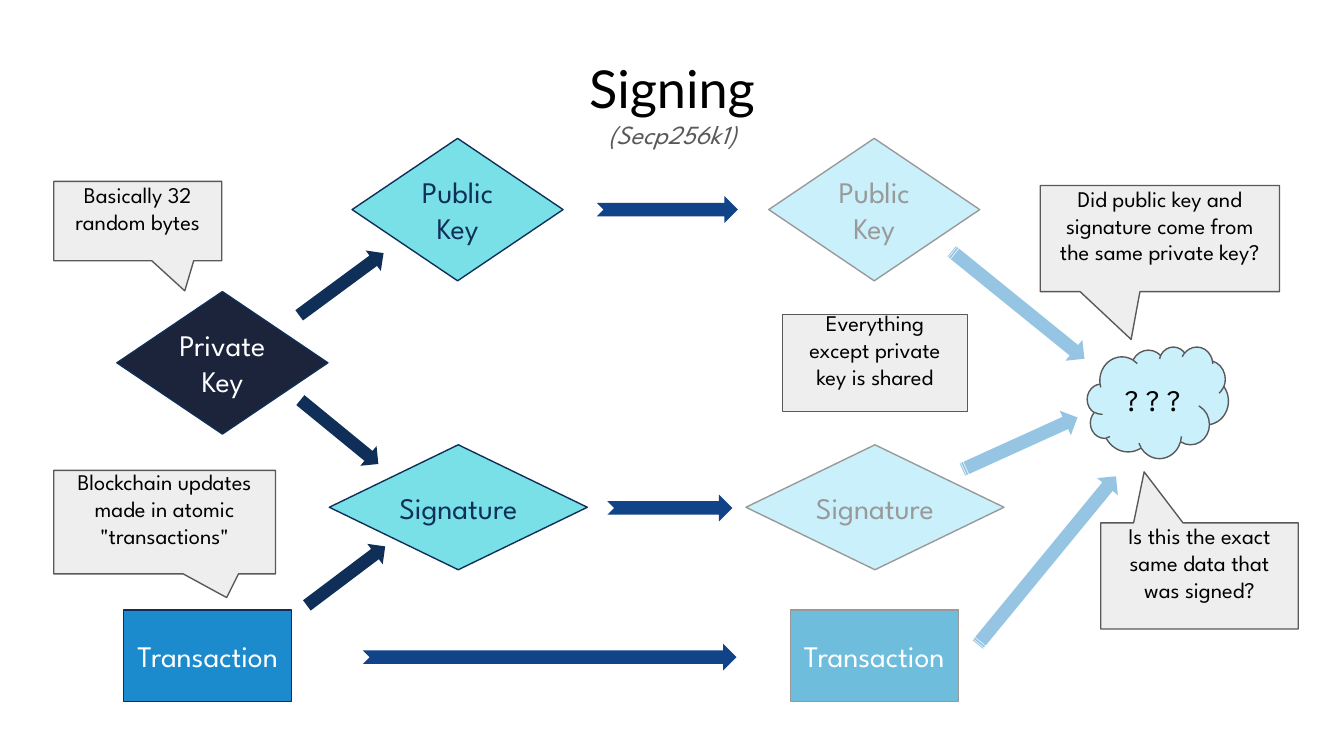
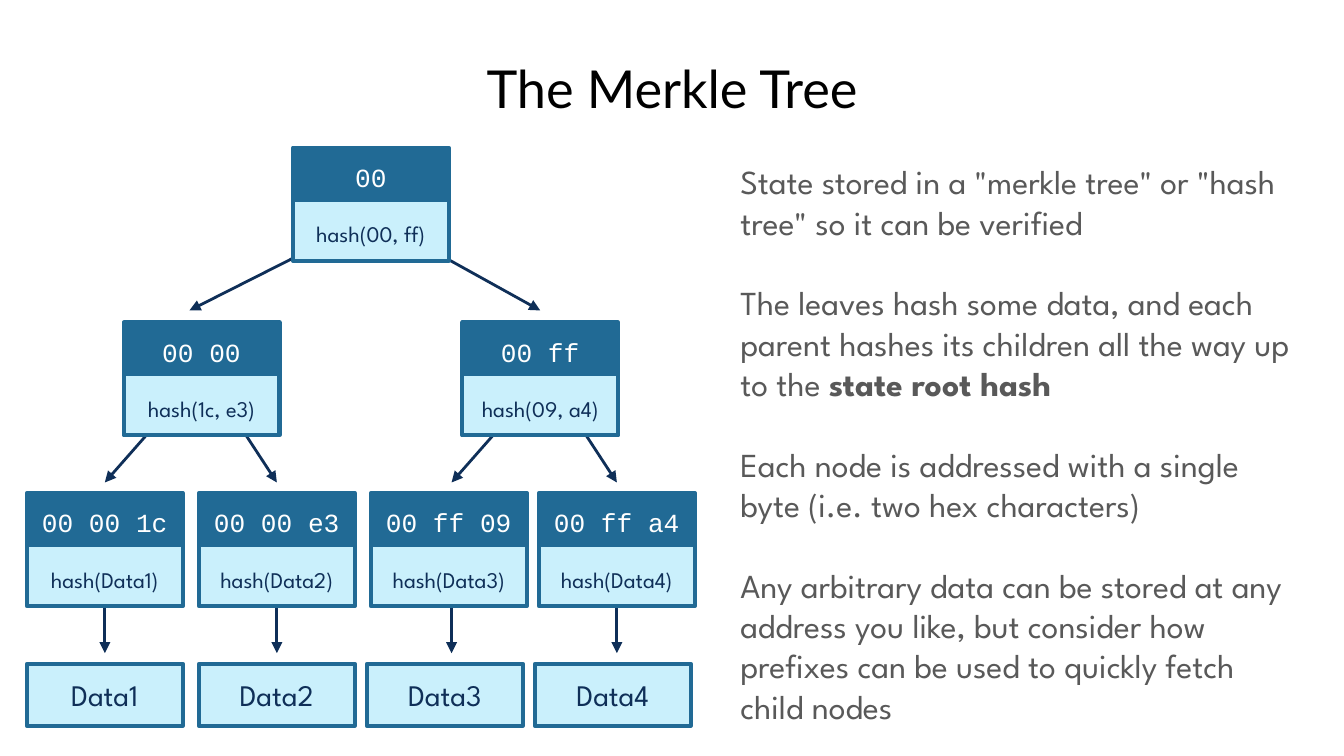
from dataclasses import dataclass

from lxml.etree import SubElement
from pptx import Presentation
from pptx.dml.color import RGBColor
from pptx.enum.shapes import MSO_CONNECTOR, MSO_SHAPE
from pptx.enum.text import MSO_ANCHOR, MSO_AUTO_SIZE, PP_ALIGN
from pptx.oxml.ns import qn
from pptx.shapes.autoshape import Shape
from pptx.slide import Slide
from pptx.text.text import TextFrame
from pptx.util import Inches, Pt

# Shared style
SLIDE_WIDTH = 10
SLIDE_HEIGHT = SLIDE_WIDTH * 9 / 16
TITLE_FONT, BODY_FONT, CODE_FONT = "Lato", "League Spartan", "Courier New"
BLACK, WHITE, GREY, FADED = "000000", "FFFFFF", "595959", "999999"
NAVY, MIDNIGHT, ROYAL, STEEL = "0F2F58", "1B243B", "104388", "216A95"
AQUA, ICE, SKY, PALE_SKY = "78E0E6", "CAF0FC", "1B8BCD", "6EBDDC"
BEAM, NOTE_FILL = "2D8DC9", "EEEEEE"
NO_INSETS = (0, 0, 0, 0)
INSETS = (0.1, 0.1, 0.1, 0.1)
NOTE_INSETS = (0.1, 0, 0.1, 0.2)

Box = tuple[float, float, float, float]
Point = tuple[float, float]


@dataclass
class Item:
    """An outlined element of the signing flow."""
    text: str
    box: Box
    outline: MSO_SHAPE
    fill: str
    border: str
    color: str


@dataclass
class BlockArrow:
    box: Box
    rotation: float = 0


@dataclass
class ArrowGroup:
    outline: MSO_SHAPE
    fill: str
    arrows: list[BlockArrow]
    opacity: int = 100


@dataclass
class Note:
    text: str
    box: Box
    pointer: Point | None = None


@dataclass
class HashNode:
    address: str
    formula: str
    left: float
    top: float


def rgb(color: str) -> RGBColor:
    return RGBColor.from_string(color)


def write(frame: TextFrame, text: str, *, size: float, color: str,
          font: str = BODY_FONT, italic: bool = False,
          align: PP_ALIGN = PP_ALIGN.CENTER,
          anchor: MSO_ANCHOR = MSO_ANCHOR.MIDDLE,
          insets: Box = INSETS, before: float = 0, gap: float = 0) -> None:
    """Write lines as paragraphs; text between ** marks is bold."""
    frame.word_wrap = True
    frame.auto_size = MSO_AUTO_SIZE.NONE
    frame.vertical_anchor = anchor
    (frame.margin_left, frame.margin_top,
     frame.margin_right, frame.margin_bottom) = map(Inches, insets)
    for index, line in enumerate(text.split("\n")):
        paragraph = frame.add_paragraph() if index else frame.paragraphs[0]
        paragraph.alignment = align
        paragraph.space_before = Pt(gap if index else before)
        for part, words in enumerate(line.split("**")):
            if not words:
                continue
            run = paragraph.add_run()
            run.text = words
            run.font.name = font
            run.font.size = Pt(size)
            run.font.bold = part % 2 == 1
            run.font.italic = italic
            run.font.color.rgb = rgb(color)


def add_titled_slide(deck: Presentation, title: str) -> Slide:
    slide = deck.slides.add_slide(deck.slide_layouts[5])
    heading = slide.shapes.title
    heading.left, heading.top, heading.width, heading.height = map(
        Inches, (0.34, 0.32, 9.32, 0.63))
    write(heading.text_frame, title, size=28, color=BLACK, font=TITLE_FONT,
          anchor=MSO_ANCHOR.TOP)
    return slide


def add_outline(slide: Slide, outline: MSO_SHAPE, box: Box, fill: str,
                border: str | None = None, weight: float = 0.75) -> Shape:
    shape = slide.shapes.add_shape(outline, *map(Inches, box))
    shape.shadow.inherit = False
    shape.fill.solid()
    shape.fill.fore_color.rgb = rgb(fill)
    if border:
        shape.line.color.rgb = rgb(border)
        shape.line.width = Pt(weight)
    else:
        shape.line.fill.background()
    return shape


def add_text(slide: Slide, text: str, box: Box, **style) -> None:
    area = slide.shapes.add_textbox(*map(Inches, box))
    write(area.text_frame, text, anchor=MSO_ANCHOR.TOP, **style)


def add_item(slide: Slide, item: Item) -> None:
    shape = add_outline(slide, item.outline, item.box, item.fill, item.border)
    write(shape.text_frame, item.text, size=16, color=item.color,
          insets=NO_INSETS)


def add_arrow_group(slide: Slide, group: ArrowGroup) -> None:
    for arrow in group.arrows:
        shape = add_outline(slide, group.outline, arrow.box, group.fill)
        shape.rotation = arrow.rotation
        if group.opacity < 100:
            tint = shape._element.spPr.find(".//" + qn("a:srgbClr"))
            SubElement(tint, qn("a:alpha"), val=str(group.opacity * 1000))


def add_note(slide: Slide, note: Note) -> None:
    outline = (MSO_SHAPE.RECTANGULAR_CALLOUT if note.pointer
               else MSO_SHAPE.RECTANGLE)
    shape = add_outline(slide, outline, note.box, NOTE_FILL, GREY)
    for index, offset in enumerate(note.pointer or ()):
        shape.adjustments[index] = offset
    write(shape.text_frame, note.text, size=12, color=BLACK,
          insets=NOTE_INSETS, before=10)


def add_link(slide: Slide, start: Point, end: Point) -> None:
    link = slide.shapes.add_connector(MSO_CONNECTOR.STRAIGHT,
                                      *map(Inches, (*start, *end)))
    link.line.color.rgb = rgb(NAVY)
    link.line.width = Pt(1.5)
    properties = link._element.spPr
    SubElement(properties.find(qn("a:ln")), qn("a:tailEnd"), type="triangle")
    SubElement(properties, qn("a:effectLst"))


def add_hash_node(slide: Slide, node: HashNode) -> None:
    body = add_outline(slide, MSO_SHAPE.FLOWCHART_PROCESS,
                       (node.left, node.top, NODE_WIDTH, 0.84),
                       ICE, STEEL, 2.25)
    write(body.text_frame, node.formula, size=12, color=NAVY,
          anchor=MSO_ANCHOR.BOTTOM)
    header = add_outline(slide, MSO_SHAPE.FLOWCHART_PROCESS,
                         (node.left, node.top, NODE_WIDTH, 0.4), STEEL)
    write(header.text_frame, node.address, size=14, color=WHITE,
          font=CODE_FONT, anchor=MSO_ANCHOR.TOP)


# Signing: keys, signature and transaction, then their shared counterparts
DIAMOND, BLOCK = MSO_SHAPE.FLOWCHART_DECISION, MSO_SHAPE.RECTANGLE
FLOW_ITEMS = [
    Item("Private Key", (0.87, 2.17, 1.57, 1.06), DIAMOND, MIDNIGHT, NAVY, WHITE),
    Item("Public Key", (2.62, 1.03, 1.57, 1.06), DIAMOND, AQUA, NAVY, NAVY),
    Item("Signature", (2.45, 3.31, 1.92, 0.93), DIAMOND, AQUA, NAVY, NAVY),
    Item("Transaction", (0.92, 4.54, 1.25, 0.68), BLOCK, SKY, NAVY, WHITE),
    Item("Public Key", (5.72, 1.03, 1.57, 1.06), DIAMOND, ICE, FADED, FADED),
    Item("Signature", (5.55, 3.31, 1.92, 0.93), DIAMOND, ICE, FADED, FADED),
    Item("Transaction", (5.88, 4.54, 1.25, 0.68), BLOCK, PALE_SKY, FADED, WHITE),
    Item("? ? ?", (8.09, 2.58, 1.05, 0.83), MSO_SHAPE.CLOUD, ICE, GREY, BLACK),
]
FLOW_ARROWS = [
    # Deriving
    ArrowGroup(MSO_SHAPE.RIGHT_ARROW, NAVY, [
        BlockArrow((2.15, 2.02, 0.78, 0.19), 323.6),
        BlockArrow((2.15, 3.12, 0.75, 0.19), 39.3),
        BlockArrow((2.21, 4.19, 0.73, 0.19), 323),
    ]),
    # Sharing
    ArrowGroup(MSO_SHAPE.NOTCHED_RIGHT_ARROW, ROYAL, [
        BlockArrow((4.44, 1.46, 1.05, 0.2)),
        BlockArrow((4.52, 3.68, 0.93, 0.2)),
        BlockArrow((2.7, 4.79, 2.78, 0.2)),
    ]),
    # Verifying
    ArrowGroup(MSO_SHAPE.STRIPED_RIGHT_ARROW, BEAM, [
        BlockArrow((6.94, 2.17, 1.27, 0.2), 39),
        BlockArrow((7.12, 3.2, 0.94, 0.2), 335.6),
        BlockArrow((6.98, 4.07, 1.62, 0.2), 309.4),
    ], opacity=50),
]
NOTES = [
    Note("Basically 32 random bytes", (0.4, 1.35, 1.25, 0.59), (0.28, 0.88)),
    Note("Did public key and signature come from the same private key?",
         (7.74, 1.38, 1.78, 0.79), (-0.12, 0.95)),
    Note("Is this the exact same data that was signed?",
         (8.19, 3.89, 1.47, 0.79), (-0.28, -0.98)),
    Note('Blockchain updates made in atomic "transactions"',
         (0.4, 3.5, 1.65, 0.77), (0.28, 0.73)),
    Note("Everything except private key is shared", (5.82, 2.34, 1.38, 0.72)),
]

# Merkle tree: root, branches, leaves and their data
NODE_WIDTH = 1.16
ROOT_TOP, BRANCH_TOP, LEAF_TOP, DATA_TOP = 1.1, 2.4, 3.67, 4.94
HASH_NODES = [
    HashNode("00 00 1c", "hash(Data1)", 0.2, LEAF_TOP),
    HashNode("00 00 e3", "hash(Data2)", 1.48, LEAF_TOP),
    HashNode("00 ff 09", "hash(Data3)", 2.76, LEAF_TOP),
    HashNode("00 ff a4", "hash(Data4)", 4.01, LEAF_TOP),
    HashNode("00 00", "hash(1c, e3)", 0.92, BRANCH_TOP),
    HashNode("00 ff", "hash(09, a4)", 3.44, BRANCH_TOP),
    HashNode("00", "hash(00, ff)", 2.18, ROOT_TOP),
]
DATA_LEFTS = [0.2, 1.48, 2.73, 3.98]
LEAF_AXES = [0.78, 2.06, 3.36, 4.59]
BRANCH_EXITS = [(1.22, 3.09), (1.72, 3.07), (3.8, 3.09), (4.25, 3.07)]
ROOT_LINKS = [((2.42, 1.8), (1.41, 2.31)), ((3.1, 1.8), (4.02, 2.31))]
EXPLANATION = "\n".join([
    'State stored in a "merkle tree" or "hash tree" so it can be verified',
    "The leaves hash some data, and each parent hashes its children all the "
    "way up to the **state root hash**",
    "Each node is addressed with a single byte (i.e. two hex characters)",
    "Any arbitrary data can be stored at any address you like, but consider "
    "how prefixes can be used to quickly fetch child nodes",
])


def build_signing(deck: Presentation) -> None:
    slide = add_titled_slide(deck, "Signing")
    add_text(slide, "(Secp256k1)", (4.18, 0.78, 1.65, 0.51), size=14,
             color=GREY, italic=True)
    for item in FLOW_ITEMS:
        add_item(slide, item)
    for group in FLOW_ARROWS:
        add_arrow_group(slide, group)
    for note in NOTES:
        add_note(slide, note)


def build_merkle_tree(deck: Presentation) -> None:
    slide = add_titled_slide(deck, "The Merkle Tree")
    # Links lie behind the nodes
    for start, end in ROOT_LINKS:
        add_link(slide, start, end)
    for axis, branch_exit in zip(LEAF_AXES, BRANCH_EXITS):
        add_link(slide, branch_exit, (axis, 3.59))
        add_link(slide, (axis, 4.43), (axis, 4.86))
    add_text(slide, EXPLANATION, (5.41, 1.1, 4.32, 4.31), size=18, color=GREY,
             align=PP_ALIGN.LEFT, gap=21.6)
    for number, left in enumerate(DATA_LEFTS, start=1):
        data = add_outline(slide, MSO_SHAPE.FLOWCHART_PROCESS,
                           (left, DATA_TOP, NODE_WIDTH, 0.46), ICE, STEEL, 2.25)
        write(data.text_frame, f"Data{number}", size=16, color=NAVY)
    for node in HASH_NODES:
        add_hash_node(slide, node)


def main() -> None:
    deck = Presentation()
    deck.slide_width = Inches(SLIDE_WIDTH)
    deck.slide_height = Inches(SLIDE_HEIGHT)
    build_signing(deck)
    build_merkle_tree(deck)
    deck.save("out.pptx")


if __name__ == "__main__":
    main()
